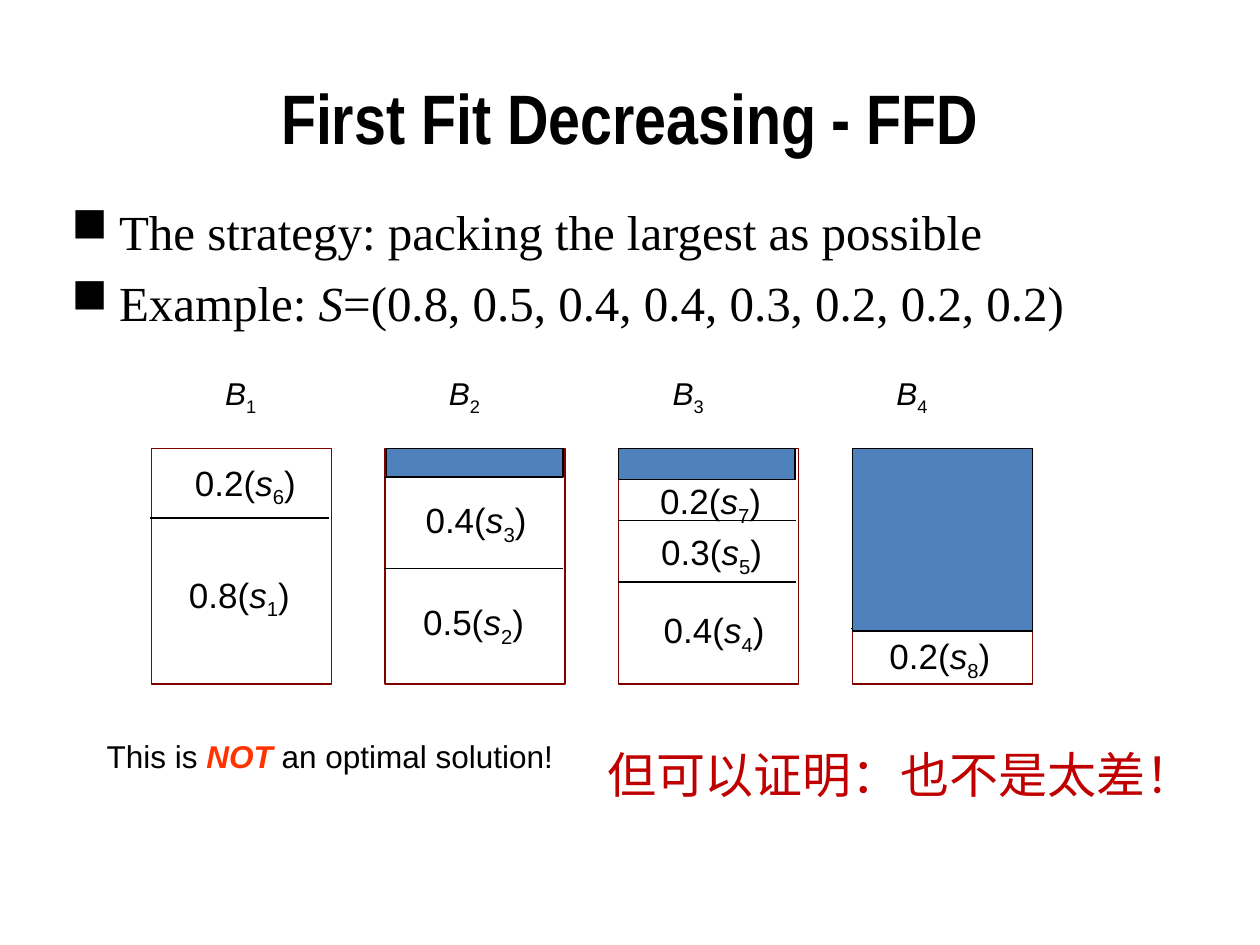
from lxml.etree import SubElement
from pptx import Presentation
from pptx.dml.color import RGBColor
from pptx.enum.shapes import MSO_CONNECTOR, MSO_SHAPE
from pptx.enum.text import MSO_ANCHOR, PP_ALIGN
from pptx.oxml.ns import qn
from pptx.util import Cm, Pt

COLORS = {"text": "000000", "bin": "800000", "empty": "4F81BD",
          "warning": "FF3300", "remark": "C00000"}

BIN_LEFT, BIN_TOP, BIN_PITCH = 3.05, 9.04, 4.71
BIN_WIDTH, BIN_HEIGHT = 3.63, 4.75
NAME_LEFT, NAME_TOP, NAME_PITCH = 4.29, 7.42, 4.51

# Per bin: empty space (x offset, width, height), divider heights
# and items (size, index, left, top), all lengths in cm.
BINS = [
    {"empty": None, "dividers": [10.44],
     "items": [("0.8", 1, 3.56, 11.43), ("0.2", 6, 3.68, 9.17)]},
    {"empty": (0.03, 3.56, 0.58), "dividers": [11.46, 9.63],
     "items": [("0.5", 2, 8.28, 11.99), ("0.4", 3, 8.33, 9.93)]},
    {"empty": (0, 3.56, 0.63), "dividers": [11.73, 10.49, 9.58],
     "items": [("0.4", 4, 13.13, 12.14), ("0.3", 5, 13.08, 10.57),
               ("0.2", 7, 13.06, 9.55)]},
    {"empty": (0, 3.63, 3.68), "dividers": [12.67],
     "items": [("0.2", 8, 17.68, 12.67)]},
]


def color(name):
    return RGBColor.from_string(COLORS[name])


def format_font(font, name, size, color_name="text"):
    font.name = name
    font.size = Pt(size)
    font.color.rgb = color(color_name)


def add_runs(paragraph, runs, name, size):
    """Add (text, style) runs; style is '', 'italic', 'sub' or 'warning'."""
    for text, style in runs:
        run = paragraph.add_run()
        run.text = text
        format_font(run.font, name, size, "warning" if style == "warning" else "text")
        run.font.italic = style in ("italic", "warning")
        run.font.bold = style == "warning"
        if style == "sub":
            run.font._element.set("baseline", "-25000")


def add_text_box(slide, left, top, width, height):
    box = slide.shapes.add_textbox(Cm(left), Cm(top), Cm(width), Cm(height))
    box.text_frame.word_wrap = True
    return box.text_frame


def add_label(slide, position, runs, size):
    text_frame = add_text_box(slide, *position)
    add_runs(text_frame.paragraphs[0], runs, "Arial", size)


def add_rectangle(slide, left, top, width, height, line, fill=None):
    shape = slide.shapes.add_shape(
        MSO_SHAPE.RECTANGLE, Cm(left), Cm(top), Cm(width), Cm(height))
    shape.shadow.inherit = False
    shape.line.color.rgb = color(line)
    shape.line.width = Pt(0.75)
    if fill:
        shape.fill.solid()
        shape.fill.fore_color.rgb = color(fill)
    else:
        shape.fill.background()


def add_divider(slide, left, top):
    line = slide.shapes.add_connector(
        MSO_CONNECTOR.STRAIGHT, Cm(left), Cm(top), Cm(left + BIN_WIDTH - 0.03), Cm(top))
    line.line.color.rgb = color("text")
    line.line.width = Pt(0.75)
    SubElement(line._element.spPr, qn("a:effectLst"))


def add_title(slide):
    title = slide.shapes.title
    title.left, title.top = Cm(1.27), Cm(0.76)
    title.width, title.height = Cm(22.86), Cm(3.18)
    text_frame = title.text_frame
    text_frame.text = "First Fit Decreasing - FFD"
    text_frame.vertical_anchor = MSO_ANCHOR.MIDDLE
    paragraph = text_frame.paragraphs[0]
    paragraph.alignment = PP_ALIGN.CENTER
    font = paragraph.runs[0].font
    format_font(font, "Arial Narrow", 40)
    font.bold = True


def add_bullets(slide):
    text_frame = add_text_box(slide, 1.19, 3.94, 22.86, 12.5)
    bullets = [
        [("The strategy: packing the largest as possible", "")],
        [("Example: ", ""), ("S", "italic"),
         ("=(0.8, 0.5, 0.4, 0.4, 0.3, 0.2, 0.2, 0.2)", "")],
    ]
    for index, runs in enumerate(bullets):
        paragraph = text_frame.add_paragraph() if index else text_frame.paragraphs[0]
        properties = paragraph._p.get_or_add_pPr()
        properties.set("marL", str(Cm(0.96)))
        properties.set("indent", str(Cm(-0.96)))
        SubElement(properties, qn("a:buChar"), char="■")
        if index:
            paragraph.space_before = Pt(7)
        add_runs(paragraph, runs, "Times New Roman", 28)


def add_bin(slide, index, content):
    left = BIN_LEFT + index * BIN_PITCH
    add_rectangle(slide, left, BIN_TOP, BIN_WIDTH, BIN_HEIGHT, "bin")
    add_label(slide, (NAME_LEFT + index * NAME_PITCH, NAME_TOP, 1.5, 1.12),
              [("B", "italic"), (str(index + 1), "sub")], 18)
    for top in content["dividers"]:
        add_divider(slide, left - 0.02, top)
    if content["empty"]:
        offset, width, height = content["empty"]
        add_rectangle(slide, left + offset, BIN_TOP, width, height, "text", "empty")
    for size, item, item_left, item_top in content["items"]:
        add_label(slide, (item_left, item_top, 2.62, 1.22),
                  [(f"{size}(", ""), ("s", "italic"), (str(item), "sub"), (")", "")], 20)


def add_remark(slide):
    text_frame = add_text_box(slide, 11.99, 14.88, 11.66, 1.45)
    text_frame.text = "但可以证明：也不是太差！"
    font = text_frame.paragraphs[0].runs[0].font
    format_font(font, "Noto Sans CJK JP", 28, "remark")
    SubElement(font._element, qn("a:ea"), typeface="Noto Sans CJK JP")


def main():
    presentation = Presentation()
    presentation.slide_width, presentation.slide_height = Cm(25.4), Cm(19.05)
    slide = presentation.slides.add_slide(presentation.slide_layouts[5])
    add_title(slide)
    add_bullets(slide)
    for index, content in enumerate(BINS):
        add_bin(slide, index, content)
    add_label(slide, (1.9, 14.73, 14.38, 1.02),
              [("This is ", ""), ("NOT", "warning"), (" an optimal solution!", "")], 18)
    add_remark(slide)
    presentation.save("out.pptx")


if __name__ == "__main__":
    main()
